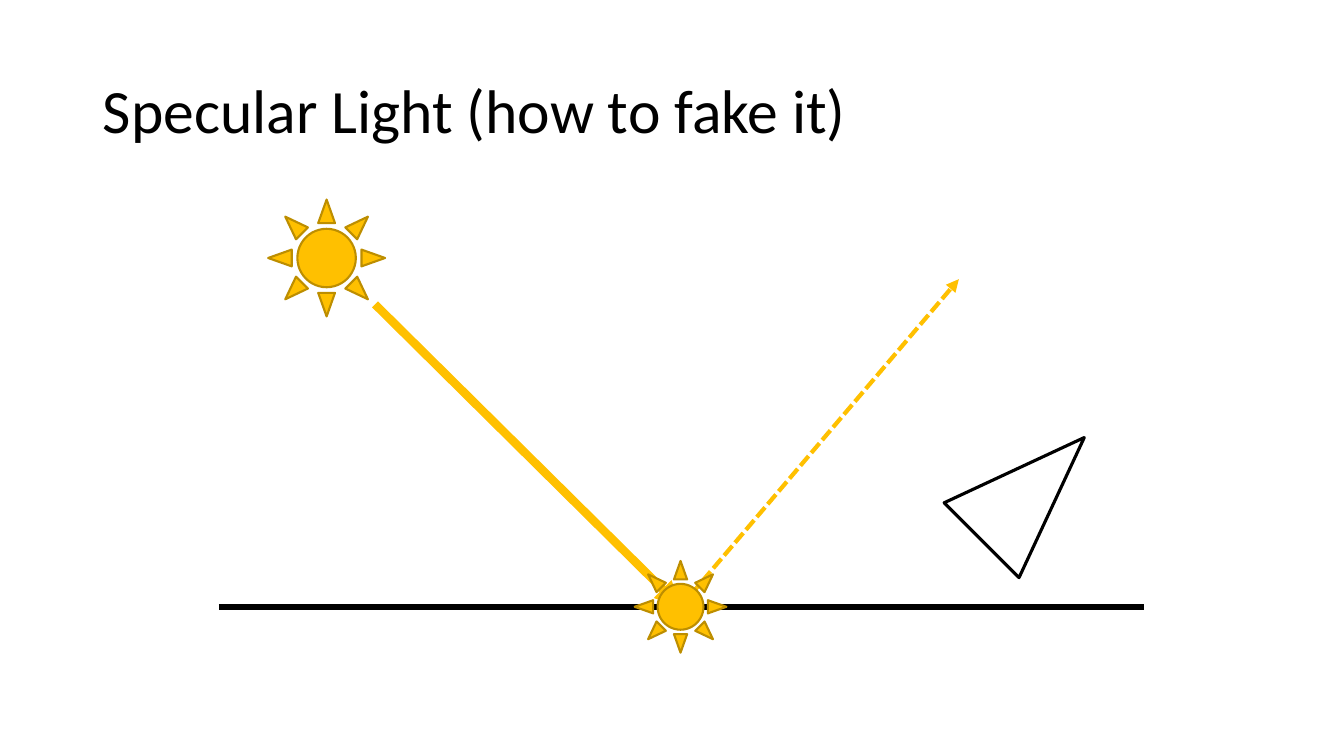
"""Build a slide on faking specular light."""
from dataclasses import dataclass

from lxml.etree import SubElement
from pptx import Presentation
from pptx.dml.color import RGBColor
from pptx.enum.dml import MSO_LINE
from pptx.enum.shapes import MSO_CONNECTOR, MSO_SHAPE
from pptx.enum.text import MSO_ANCHOR, MSO_AUTO_SIZE, PP_ALIGN
from pptx.oxml.ns import qn
from pptx.util import Inches, Pt


@dataclass(frozen=True)
class Theme:
    font: str = "Calibri"
    title: int = 44
    ink: RGBColor = RGBColor(0, 0, 0)
    light: RGBColor = RGBColor(0xFF, 0xC0, 0x00)
    edge: RGBColor = RGBColor(0xBD, 0x8E, 0x00)


THEME = Theme()


def set_title(slide, text):
    title = slide.shapes.title
    title.left, title.top = Inches(0.92), Inches(0.4)
    title.width, title.height = Inches(11.5), Inches(1.45)
    frame = title.text_frame
    frame.word_wrap = True
    frame.auto_size = MSO_AUTO_SIZE.NONE
    frame.vertical_anchor = MSO_ANCHOR.MIDDLE
    para = frame.paragraphs[0]
    para.alignment = PP_ALIGN.LEFT
    para.line_spacing = 0.9
    run = para.add_run()
    run.text = text
    run.font.name = THEME.font
    run.font.size = Pt(THEME.title)
    run.font.color.rgb = THEME.ink


def add_line(slide, start, end, color, width, dash=None, arrow=False):
    points = [Inches(n) for n in (*start, *end)]
    line = slide.shapes.add_connector(MSO_CONNECTOR.STRAIGHT, *points)
    line.line.color.rgb = color
    line.line.width = Pt(width)
    if dash:
        line.line.dash_style = dash
    if arrow:
        SubElement(line.line._get_or_add_ln(), qn("a:tailEnd"), type="triangle")
    SubElement(line._element.spPr, qn("a:effectLst"))


def add_shape(slide, kind, box, edge, width, fill=None, turn=0):
    shape = slide.shapes.add_shape(kind, *[Inches(n) for n in box])
    shape.shadow.inherit = False
    shape.rotation = turn
    shape.line.color.rgb = edge
    shape.line.width = Pt(width)
    if fill is None:
        shape.fill.background()
    else:
        shape.fill.solid()
        shape.fill.fore_color.rgb = fill


def add_sun(slide, center, size):
    x, y = center
    box = (x - size / 2, y - size / 2, size, size)
    add_shape(slide, MSO_SHAPE.SUN, box, THEME.edge, 1.5, THEME.light)


def main():
    deck = Presentation()
    deck.slide_width, deck.slide_height = Inches(13.33), Inches(7.5)
    slide = deck.slides.add_slide(deck.slide_layouts[5])
    set_title(slide, "Specular Light (how to fake it)")

    ground = 6.02
    hit = (6.75, ground)
    add_line(slide, (2.17, ground), (11.35, ground), THEME.ink, 4.5)
    add_line(slide, (3.72, 3.02), hit, THEME.light, 6, arrow=True)
    add_line(slide, hit, (9.51, 2.77), THEME.light, 3,
             MSO_LINE.SQUARE_DOT, arrow=True)
    add_sun(slide, (3.24, 2.56), 1.16)
    add_sun(slide, hit, 0.91)
    add_shape(slide, MSO_SHAPE.ISOSCELES_TRIANGLE, (9.72, 4.13, 1.05, 1.44),
              THEME.ink, 2.25, turn=45)
    deck.save("out.pptx")


if __name__ == "__main__":
    main()
